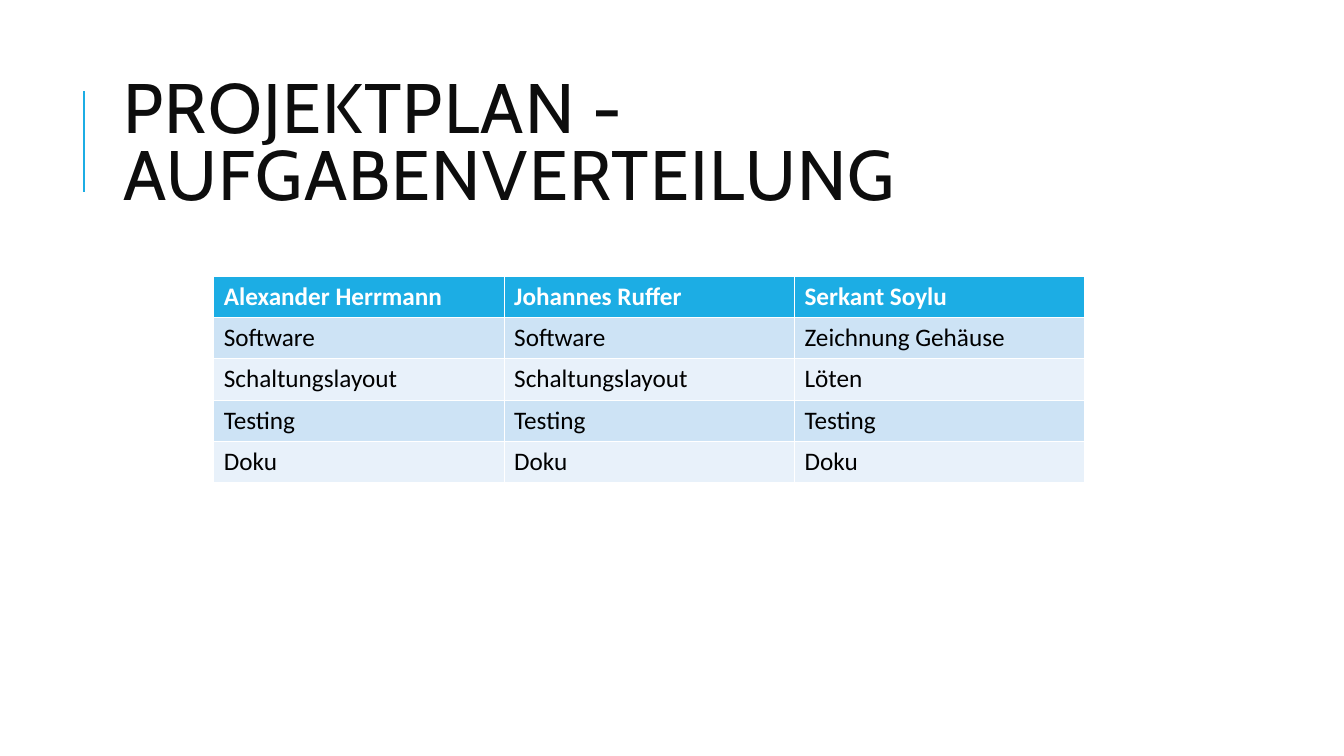
from lxml import etree
from pptx import Presentation
from pptx.dml.color import RGBColor
from pptx.enum.shapes import MSO_CONNECTOR
from pptx.enum.text import MSO_ANCHOR, MSO_AUTO_SIZE, PP_ALIGN
from pptx.oxml.ns import qn
from pptx.util import Inches, Pt

STRAIGHT = MSO_CONNECTOR.STRAIGHT
MIDDLE = MSO_ANCHOR.MIDDLE
NO_FIT = MSO_AUTO_SIZE.NONE
LEFT = PP_ALIGN.LEFT

ACCENT = "1CADE4"
BANDS = ("CDE3F5", "E8F1FA")
TITLE_FORMAT = {"name": "Cabin", "size": Pt(50), "bold": False}
HEADER_FORMAT = {"name": "Calibri", "size": Pt(18), "bold": True}
CELL_FORMAT = {**HEADER_FORMAT, "bold": False}

TASKS = [
    ("Alexander Herrmann", "Johannes Ruffer", "Serkant Soylu"),
    ("Software", "Software", "Zeichnung Gehäuse"),
    ("Schaltungslayout", "Schaltungslayout", "Löten"),
    ("Testing", "Testing", "Testing"),
    ("Doku", "Doku", "Doku"),
]


def rgb(value):
    return RGBColor.from_string(value)


def apply(target, values):
    for name, value in values.items():
        setattr(target, name, value)


class SlideBuilder:
    def __init__(self, prs):
        self.s = prs.slides.add_slide(prs.slide_layouts[5])

    def add_text(self, tf, text, values, color):
        p = tf.paragraphs[0]
        p.alignment = LEFT
        r = p.add_run()
        r.text = text
        apply(r.font, values)
        r.font.color.rgb = rgb(color)
        return p, r

    def line(self, x1, y1, x2, y2, color, width):
        ends = [Inches(v) for v in (x1, y1, x2, y2)]
        rule = self.s.shapes.add_connector(STRAIGHT, *ends)
        rule.line.color.rgb = rgb(color)
        rule.line.width = Pt(width)
        etree.SubElement(rule._element.spPr, qn("a:effectLst"))

    def title(self, text, left, top, width, height):
        sp = self.s.shapes.title
        apply(sp, {"left": Inches(left), "top": Inches(top),
                   "width": Inches(width), "height": Inches(height)})
        tf = sp.text_frame
        apply(tf, {"word_wrap": True, "auto_size": NO_FIT,
                   "vertical_anchor": MIDDLE})
        p, r = self.add_text(tf, text, TITLE_FORMAT, "0D0D0D")
        p.line_spacing = 0.8
        r.font._element.set("spc", "100")

    def table(self, rows, left, top, col_width, row_height):
        n_rows, n_cols = len(rows), len(rows[0])
        table = self.s.shapes.add_table(
            n_rows, n_cols, Inches(left), Inches(top),
            Inches(col_width * n_cols), Inches(row_height * n_rows)).table
        for i, row in enumerate(rows):
            header = i == 0
            fill = ACCENT if header else BANDS[(i - 1) % 2]
            values = HEADER_FORMAT if header else CELL_FORMAT
            color = "FFFFFF" if header else "000000"
            for j, text in enumerate(row):
                cell = table.cell(i, j)
                cell.fill.solid()
                cell.fill.fore_color.rgb = rgb(fill)
                self.add_text(cell.text_frame, text, values, color)


prs = Presentation()
prs.slide_width = Inches(13.33)
prs.slide_height = Inches(7.5)

plan = SlideBuilder(prs)
plan.line(0.83, 1.9, 0.83, 0.9, ACCENT, 1.5)
plan.title("PROJEKTPLAN - AUFGABENVERTEILUNG", 1.12, 0.64, 10.63, 1.64)
plan.table(TASKS, 2.12, 2.74, 2.88, 0.41)

prs.save("out.pptx")
